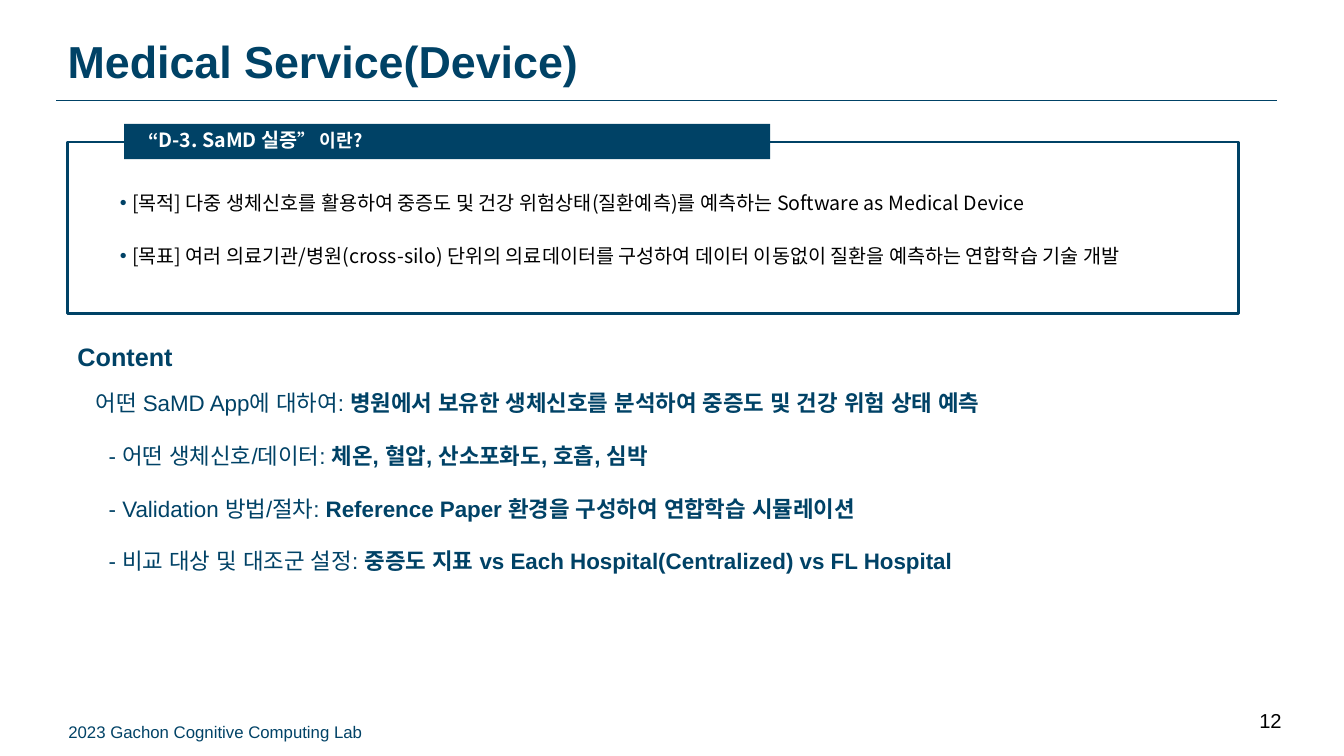
from lxml.etree import SubElement
from pptx import Presentation
from pptx.dml.color import RGBColor
from pptx.enum.shapes import MSO_CONNECTOR as Connector, MSO_SHAPE as Shape
from pptx.enum.text import MSO_ANCHOR as Anchor, PP_ALIGN as Align
from pptx.oxml.ns import qn
from pptx.util import Pt

PX = 9144
NAVY = RGBColor(0x00, 0x42, 0x66)
WHITE = RGBColor(0xFF, 0xFF, 0xFF)
BLACK = RGBColor(0x00, 0x00, 0x00)
LATIN = "Arial"
KOREAN = "Noto Sans CJK KR"


def add_runs(paragraph, runs, name, color):
    for text, size, bold in runs:
        run = paragraph.add_run()
        run.text = text
        format_values = {"name": name, "size": Pt(size), "bold": bold}
        for key, value in format_values.items():
            setattr(run.font, key, value)
        run.font.color.rgb = color
        SubElement(run.font._element, qn("a:ea"), typeface=name)


def set_frame(shape, insets, anchor=Anchor.TOP, wrap=True):
    frame = shape.text_frame
    left, top, right, bottom = [inset * PX for inset in insets]
    format_values = {
        "margin_left": left, "margin_top": top,
        "margin_right": right, "margin_bottom": bottom,
        "vertical_anchor": anchor, "word_wrap": wrap,
    }
    for key, value in format_values.items():
        setattr(frame, key, value)
    return frame


presentation = Presentation()
presentation.slide_width = 1333 * PX
presentation.slide_height = 750 * PX
slide = presentation.slides.add_slide(presentation.slide_layouts[6])
shapes = slide.shapes

title_rule = shapes.add_connector(Connector.STRAIGHT, 56 * PX, 100 * PX, 1267 * PX, 100 * PX)
title_rule.line.color.rgb = NAVY
title_rule.line.width = Pt(0.75)
SubElement(title_rule._element.spPr, qn("a:effectLst"))

summary_box = shapes.add_shape(Shape.RECTANGLE, 67 * PX, 141 * PX, 1161 * PX, 170 * PX)
summary_tag = shapes.add_shape(Shape.RECTANGLE, 123 * PX, 123 * PX, 641 * PX, 35 * PX)
for shape, fill in ((summary_box, WHITE), (summary_tag, NAVY)):
    shape.shadow.inherit = False
    shape.fill.solid()
    shape.fill.fore_color.rgb = fill
summary_box.line.color.rgb = NAVY
summary_box.line.width = Pt(2)
summary_color = summary_box._element.spPr.find(qn("a:solidFill"))[0]
SubElement(summary_color, qn("a:alpha"), val="90000")
summary_tag.line.fill.background()

paragraph = set_frame(summary_tag, (24, 0, 24, 0), Anchor.MIDDLE).paragraphs[0]
paragraph.alignment = Align.LEFT
paragraph.line_spacing = 0.9
tag_runs = [("“", 13, True), ("D-3. SaMD 실증", 14, True), ("” 이란?", 13, True)]
add_runs(paragraph, tag_runs, KOREAN, WHITE)

labels = [
    ((67, 37, 1200, 47), (0, 0, 0, 0), Anchor.MIDDLE, True, Align.LEFT,
     ("Medical Service(Device)", 32, True), NAVY),
    ((58, 711, 314, 30), (10, 5, 10, 5), Anchor.TOP, False, Align.LEFT,
     ("2023 Gachon Cognitive Computing Lab", 12, False), NAVY),
    ((1192, 698, 89, 30), (10, 5, 10, 5), Anchor.TOP, True, Align.RIGHT,
     ("12", 14.4, False), BLACK),
]
for box, insets, anchor, wrap, alignment, run, color in labels:
    label = shapes.add_textbox(*[length * PX for length in box])
    paragraph = set_frame(label, insets, anchor, wrap).paragraphs[0]
    paragraph.alignment = alignment
    add_runs(paragraph, [run], LATIN, color)

goals = [
    "[목적] 다중 생체신호를 활용하여 중증도 및 건강 위험상태(질환예측)를 예측하는 Software as Medical Device",
    "[목표] 여러 의료기관/병원(cross-silo) 단위의 의료데이터를 구성하여 데이터 이동없이 질환을 예측하는 연합학습 기술 개발",
]
goals_box = shapes.add_textbox(47 * PX, 156 * PX, 1234 * PX, 195 * PX)
frame = set_frame(goals_box, (72, 36, 72, 10))
for index, goal in enumerate(goals):
    paragraph = frame.add_paragraph() if index else frame.paragraphs[0]
    properties = paragraph._p.get_or_add_pPr()
    properties.set("marL", str(12 * PX))
    properties.set("indent", str(-12 * PX))
    bullet_color = SubElement(properties, qn("a:buClr"))
    SubElement(bullet_color, qn("a:srgbClr"), val=str(NAVY))
    SubElement(properties, qn("a:buFont"), typeface=LATIN)
    SubElement(properties, qn("a:buChar"), char="•")
    paragraph.line_spacing = 0.9
    if index:
        paragraph.space_before = Pt(22.5)
    add_runs(paragraph, [(goal, 14, False)], KOREAN, BLACK)

content = [
    (0, 0, [("Content", 18, True)]),
    (18, 12.6, [("어떤 SaMD App에 대하여: ", 16, False),
                ("병원에서 보유한 생체신호를 분석하여 중증도 및 건강 위험 상태 예측", 16, True)]),
    (31, 18.4, [("- 어떤 생체신호/데이터: ", 16, False),
                ("체온, 혈압, 산소포화도, 호흡, 심박", 16, True)]),
    (31, 18.4, [("- Validation 방법/절차: ", 16, False),
                ("Reference Paper 환경을 구성하여 연합학습 시뮬레이션", 16, True)]),
    (31, 18.4, [("- 비교 대상 및 대조군 설정: ", 16, False),
                ("중증도 지표 vs Each Hospital(Centralized) vs FL Hospital", 16, True)]),
]
content_box = shapes.add_textbox(67 * PX, 334 * PX, 1248 * PX, 247 * PX)
frame = set_frame(content_box, (10, 5, 10, 5))
for index, (indent, gap, runs) in enumerate(content):
    paragraph = frame.add_paragraph() if index else frame.paragraphs[0]
    paragraph._p.get_or_add_pPr().set("marL", str(indent * PX))
    if index:
        paragraph.space_before = Pt(gap)
    add_runs(paragraph, runs, LATIN, NAVY)

presentation.save("out.pptx")
